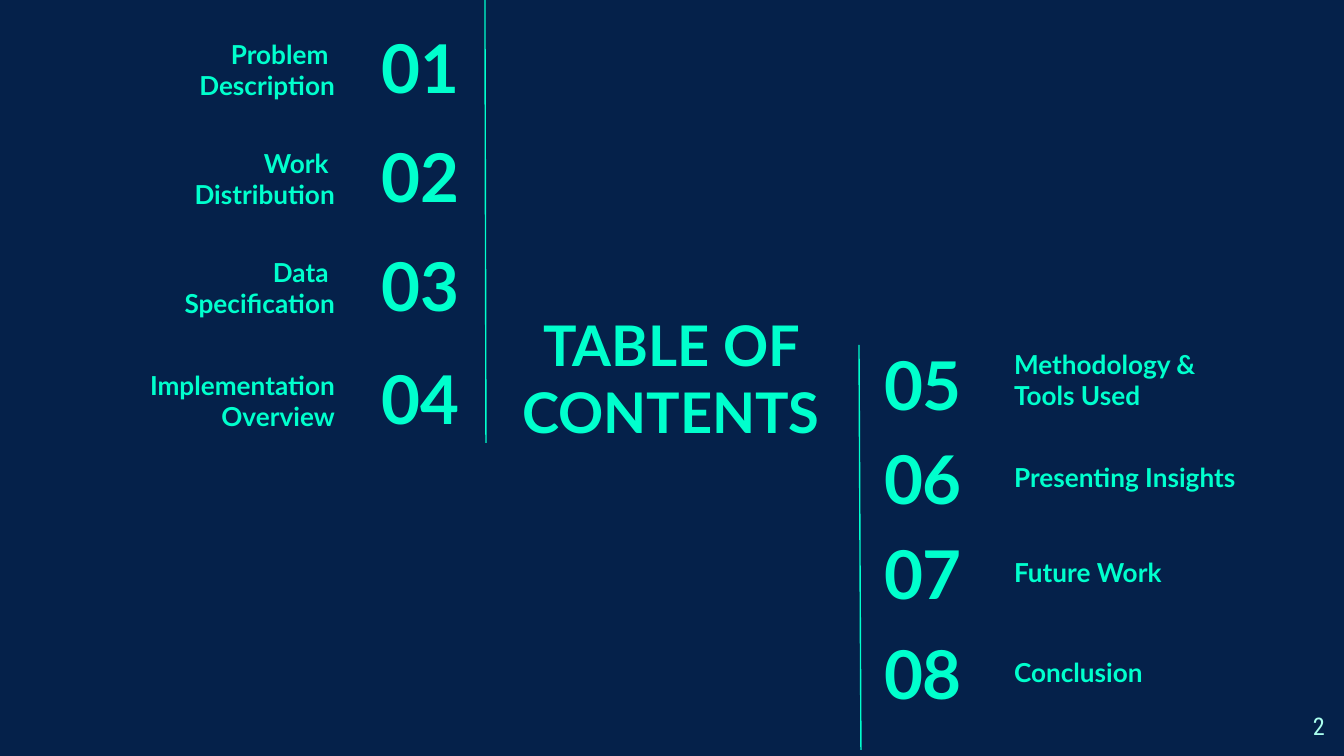
from lxml.etree import SubElement
from pptx import Presentation
from pptx.dml.color import RGBColor
from pptx.enum.shapes import MSO_CONNECTOR
from pptx.enum.text import MSO_ANCHOR as Anchor, MSO_AUTO_SIZE, PP_ALIGN as Align
from pptx.oxml.ns import qn
from pptx.util import Emu, Pt

NAVY = RGBColor(0x05, 0x21, 0x4A)
MINT = RGBColor(0x00, 0xFF, 0xCD)
PALE_MINT = RGBColor(0xAA, 0xFF, 0xEE)
SLIDE_W, SLIDE_H = 1344, 756
INSET = 13
ROW_H = 85
LABEL_W = 290

LEFT_TOPICS = [
    (24, "01", ["Problem ", "Description"]),
    (133, "02", ["Work ", "Distribution"]),
    (242, "03", ["Data ", "Specification"]),
    (355, "04", ["Implementation Overview"]),
]
RIGHT_TOPICS = [
    (341, "05", ["Methodology &", "Tools Used"]),
    (435, "06", ["Presenting Insights"]),
    (530, "07", ["Future Work"]),
    (630, "08", ["Conclusion"]),
]


def px(length):
    return Emu(round(length * 914400 * 10 / SLIDE_W))


def place(shape, left, top, width, height):
    shape.left, shape.top = px(left), px(top)
    shape.width, shape.height = px(width), px(height)


def write(shape, lines, size, align, anchor, color=MINT, font_name="Lato", bold=True):
    frame = shape.text_frame
    frame.word_wrap = True
    frame.auto_size = MSO_AUTO_SIZE.NONE
    frame.vertical_anchor = anchor
    frame.margin_left = frame.margin_right = px(INSET)
    frame.margin_top = frame.margin_bottom = px(INSET)
    frame.text = "\n".join(lines)
    for paragraph in frame.paragraphs:
        paragraph.alignment = align
        font = paragraph.font
        font.name, font.size, font.bold = font_name, Pt(size), bold
        font.color.rgb = color


def add_text(slide, box, *args, **kwargs):
    text_box = slide.shapes.add_textbox(*map(px, box))
    write(text_box, *args, **kwargs)


def add_rule(slide, start, end):
    rule = slide.shapes.add_connector(
        MSO_CONNECTOR.STRAIGHT, *map(px, start), *map(px, end))
    rule.line.color.rgb = MINT
    rule.line.width = Pt(0.75)
    SubElement(rule._element.spPr, qn("a:effectLst"))


def add_heading(slide, left, top, width, height):
    heading = slide.shapes.title
    place(heading, left, top, width, height)
    write(heading, ["TABLE OF CONTENTS"], 30, Align.CENTER, Anchor.MIDDLE)


def add_left_topics(slide, left):
    for top, number, label in LEFT_TOPICS:
        add_text(slide, (left + 251, top, 163, ROW_H),
                 [number], 36, Align.RIGHT, Anchor.MIDDLE)
        add_text(slide, (left, top + 5, LABEL_W, ROW_H),
                 label, 14, Align.RIGHT, Anchor.BOTTOM)
    add_rule(slide, (left + 427, 0), (left + 428, 443))


def add_right_topics(slide, left):
    for top, number, label in RIGHT_TOPICS:
        label_rise = 14 if len(label) == 1 else 2
        add_text(slide, (left + 12, top, 157, ROW_H),
                 [number], 36, Align.LEFT, Anchor.MIDDLE)
        add_text(slide, (left + 142, top - label_rise, LABEL_W, ROW_H),
                 label, 14, Align.LEFT, Anchor.BOTTOM)
    add_rule(slide, (left, 345), (left + 2, 750))


def add_page_number(slide, left, top, width, height):
    add_text(slide, (left, top, width, height), ["2"], 13, Align.RIGHT, Anchor.TOP,
             color=PALE_MINT, font_name="Roboto Condensed", bold=False)


def main():
    deck = Presentation()
    deck.slide_width, deck.slide_height = px(SLIDE_W), px(SLIDE_H)
    slide = deck.slides.add_slide(deck.slide_layouts[5])
    slide.background.fill.solid()
    slide.background.fill.fore_color.rgb = NAVY
    add_heading(slide, 497, 309, 348, 138)
    add_left_topics(slide, 58)
    add_right_topics(slide, 859)
    add_page_number(slide, 1258, 698, 80, 58)
    deck.save("out.pptx")


if __name__ == "__main__":
    main()
